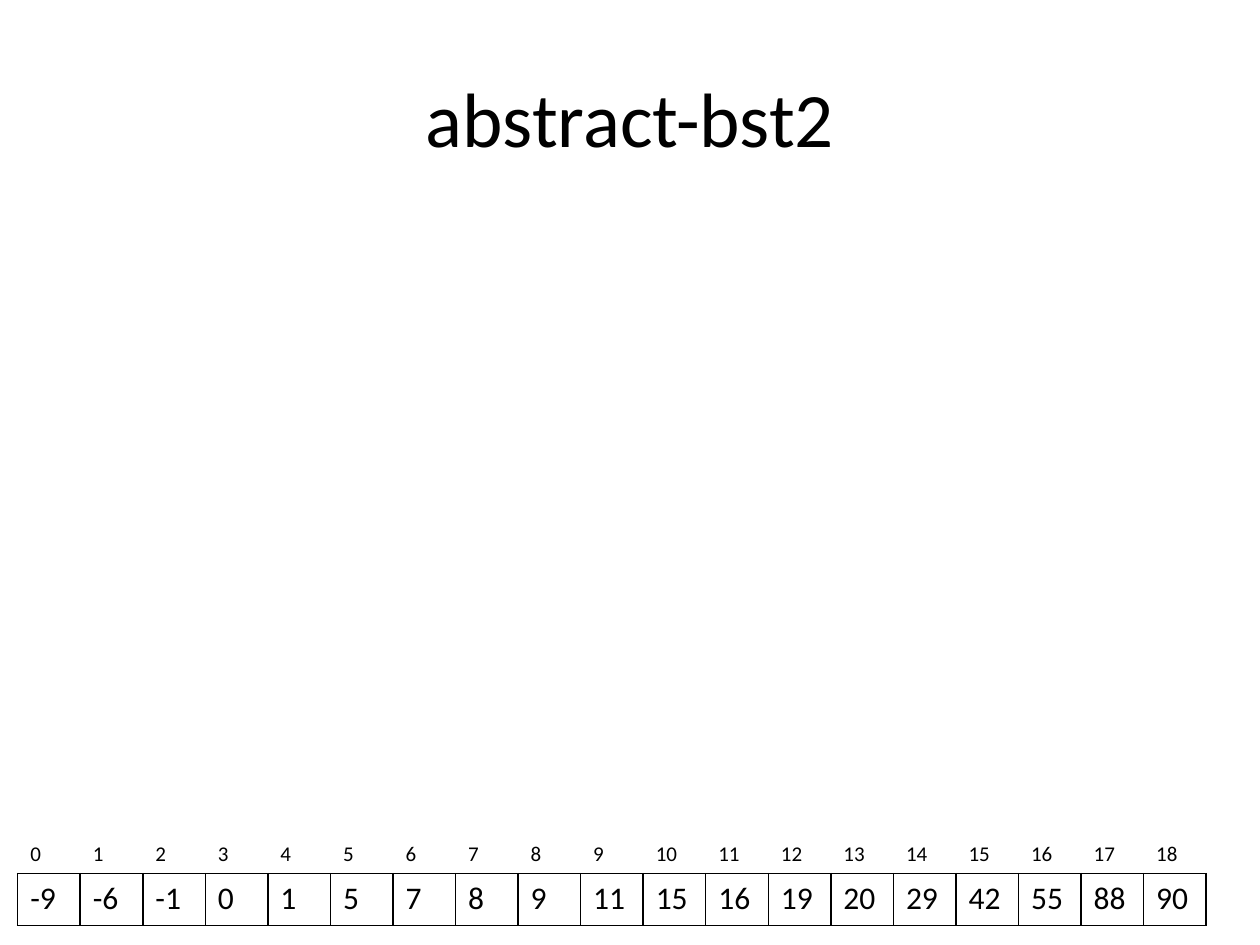
from typing import NamedTuple

import pptx
import pptx.dml.color
import pptx.enum.text
import pptx.oxml
import pptx.oxml.ns
import pptx.util

Inches = pptx.util.Inches
BLACK = pptx.dml.color.RGBColor(0, 0, 0)
FONT = "Calibri"
NO_STYLE = "{2D5ABB26-0587-4C30-8999-92F81FD0307C}"
TABLE_WIDTH = 9.44


class ArrayRow(NamedTuple):
    values: list[int]
    height: float
    size: int
    borders: tuple[str, ...]


KEYS = [-9, -6, -1, 0, 1, 5, 7, 8, 9, 11, 15, 16, 19, 20, 29, 42, 55, 88, 90]
ROWS = [
    ArrayRow(list(range(len(KEYS))), 0.3, 12, ("lnB",)),
    ArrayRow(KEYS, 0.41, 18, ("lnL", "lnR", "lnT", "lnB")),
]


def write_text(text_frame, text: str, *, size: int,
               alignment=pptx.enum.text.PP_ALIGN.LEFT) -> None:
    paragraph = text_frame.paragraphs[0]
    paragraph.alignment = alignment
    run = paragraph.add_run()
    run.text = text
    run.font.name = FONT
    run.font.size = pptx.util.Pt(size)
    run.font.color.rgb = BLACK


def add_borders(cell, edges: tuple[str, ...]) -> None:
    properties = cell._tc.get_or_add_tcPr()
    for position, edge in enumerate(edges):
        properties.insert(position, pptx.oxml.parse_xml(
            f'<a:{edge} {pptx.oxml.ns.nsdecls("a")} w="{pptx.util.Pt(1)}">'
            f'<a:solidFill><a:srgbClr val="{BLACK}"/></a:solidFill></a:{edge}>'))


def add_array(slide) -> None:
    table = slide.shapes.add_table(
        len(ROWS), len(KEYS), Inches(0.14), Inches(6.63),
        Inches(TABLE_WIDTH), Inches(sum(row.height for row in ROWS))).table
    table.first_row = False
    table.horz_banding = False
    table._tbl.tblPr.find(pptx.oxml.ns.qn("a:tableStyleId")).text = NO_STYLE
    for column in table.columns:
        column.width = Inches(TABLE_WIDTH / len(KEYS))
    for row_index, row in enumerate(ROWS):
        table.rows[row_index].height = Inches(row.height)
        for column_index, value in enumerate(row.values):
            cell = table.cell(row_index, column_index)
            cell.fill.background()
            write_text(cell.text_frame, str(value), size=row.size)
            add_borders(cell, row.borders)


def main() -> None:
    presentation = pptx.Presentation()
    presentation.slide_width = Inches(10)
    presentation.slide_height = Inches(7.5)
    slide = presentation.slides.add_slide(presentation.slide_layouts[5])
    add_array(slide)
    title = slide.shapes.title
    title.left, title.top = Inches(0.5), Inches(0.3)
    title.width, title.height = Inches(9), Inches(1.25)
    title.text_frame.vertical_anchor = pptx.enum.text.MSO_ANCHOR.MIDDLE
    write_text(title.text_frame, "abstract-bst2", size=44,
               alignment=pptx.enum.text.PP_ALIGN.CENTER)
    presentation.save("out.pptx")


main()
